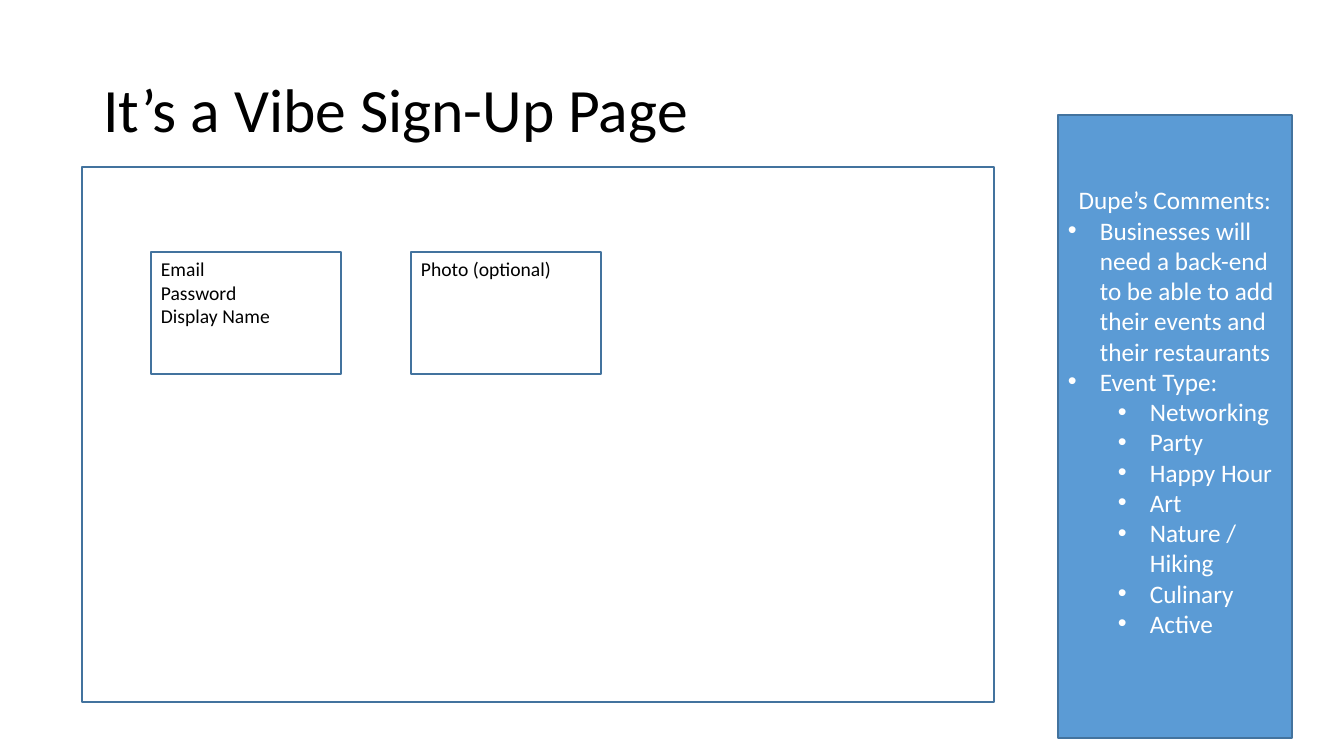
from dataclasses import dataclass

from lxml import etree
from pptx import Presentation
from pptx.dml.color import RGBColor
from pptx.enum.shapes import MSO_SHAPE
from pptx.enum.text import MSO_ANCHOR, MSO_AUTO_SIZE, PP_ALIGN
from pptx.oxml.ns import qn
from pptx.util import Emu, Pt

RECTANGLE = MSO_SHAPE.RECTANGLE
TOP, MIDDLE = MSO_ANCHOR.TOP, MSO_ANCHOR.MIDDLE
LEFT, CENTER = PP_ALIGN.LEFT, PP_ALIGN.CENTER
NO_AUTOFIT = MSO_AUTO_SIZE.NONE

EMU_PER_PIXEL = 914400 / 100.8
TITLE_ONLY_LAYOUT = 5
FONT = "Calibri"
BLACK, WHITE, BLUE, OUTLINE = "000000", "FFFFFF", "5B9BD5", "43739E"
BULLET_HANG = 32
BULLET_INDENTS = (32, 82)


@dataclass(frozen=True)
class Line:
    text: str
    align: PP_ALIGN = LEFT
    bullet_level: int | None = None


@dataclass(frozen=True)
class Panel:
    left: int
    top: int
    width: int
    height: int
    lines: tuple[Line, ...] = ()
    fill: str | None = None
    color: str = BLACK
    size: int = 14
    anchor: MSO_ANCHOR = TOP
    bottom_inset: int = 5


def px(pixels: int) -> Emu:
    return Emu(round(pixels * EMU_PER_PIXEL))


def rgb(value: str) -> RGBColor:
    return RGBColor.from_string(value)


def apply_format(target, values: dict) -> None:
    for attribute, value in values.items():
        setattr(target, attribute, value)


def place(shape, left: int, top: int, width: int, height: int) -> None:
    apply_format(shape, {"left": px(left), "top": px(top),
                         "width": px(width), "height": px(height)})


def write_line(paragraph, line: Line, size: int, color: str) -> None:
    apply_format(paragraph, {"text": line.text, "alignment": line.align})
    apply_format(paragraph.font, {"name": FONT, "size": Pt(size)})
    paragraph.font.color.rgb = rgb(color)
    if line.bullet_level is not None:
        paragraph.level = line.bullet_level
        properties = paragraph._p.get_or_add_pPr()
        properties.set("marL", str(px(BULLET_INDENTS[line.bullet_level])))
        properties.set("indent", str(-px(BULLET_HANG)))
        bullet_font = etree.Element(qn("a:buFont"), typeface="Arial")
        bullet = etree.Element(qn("a:buChar"), char="•")
        properties.insert(0, bullet_font)
        bullet_font.addnext(bullet)


def draw_panel(slide, panel: Panel) -> None:
    box = slide.shapes.add_shape(RECTANGLE, px(panel.left), px(panel.top),
                                 px(panel.width), px(panel.height))
    box.shadow.inherit = False
    if panel.fill:
        box.fill.solid()
        box.fill.fore_color.rgb = rgb(panel.fill)
    else:
        box.fill.background()
    box.line.color.rgb = rgb(OUTLINE)
    box.line.width = Pt(1)
    frame = box.text_frame
    apply_format(frame, {"word_wrap": True, "vertical_anchor": panel.anchor,
                         "margin_bottom": px(panel.bottom_inset)})
    for index, line in enumerate(panel.lines):
        paragraph = frame.add_paragraph() if index else frame.paragraphs[0]
        write_line(paragraph, line, panel.size, panel.color)


def draw_title(slide, text: str) -> None:
    title = slide.shapes.title
    place(title, 93, 40, 1159, 146)
    apply_format(title.text_frame, {"word_wrap": True, "vertical_anchor": MIDDLE,
                                    "auto_size": NO_AUTOFIT})
    heading = title.text_frame.paragraphs[0]
    write_line(heading, Line(text), 44, BLACK)
    heading.line_spacing = 0.9


EVENT_TYPES = ("Networking", "Party", "Happy Hour", "Art",
               "Nature / Hiking", "Culinary", "Active")
COMMENTS = (
    Line("Dupe’s Comments:", CENTER),
    Line("Businesses will need a back-end to be able to add "
         "their events and their restaurants", bullet_level=0),
    Line("Event Type:", bullet_level=0),
    *(Line(event, bullet_level=1) for event in EVENT_TYPES),
)
FIELD_GROUPS = (("Photo (optional)",), ("Email", "Password", "Display Name"))
FIELD_LEFTS = (411, 151)

PAGE_FRAME = Panel(82, 167, 912, 535)
FIELD_PANELS = tuple(
    Panel(left, 252, 190, 122, tuple(Line(field) for field in fields))
    for left, fields in zip(FIELD_LEFTS, FIELD_GROUPS)
)
COMMENT_PANEL = Panel(1058, 115, 234, 623, COMMENTS, BLUE, WHITE, 18, MIDDLE, 35)

presentation = Presentation()
apply_format(presentation, {"slide_width": px(1344), "slide_height": px(756)})
signup_slide = presentation.slides.add_slide(
    presentation.slide_layouts[TITLE_ONLY_LAYOUT])
draw_title(signup_slide, "It’s a Vibe Sign-Up Page")
for signup_panel in (PAGE_FRAME, *FIELD_PANELS, COMMENT_PANEL):
    draw_panel(signup_slide, signup_panel)
presentation.save("out.pptx")
